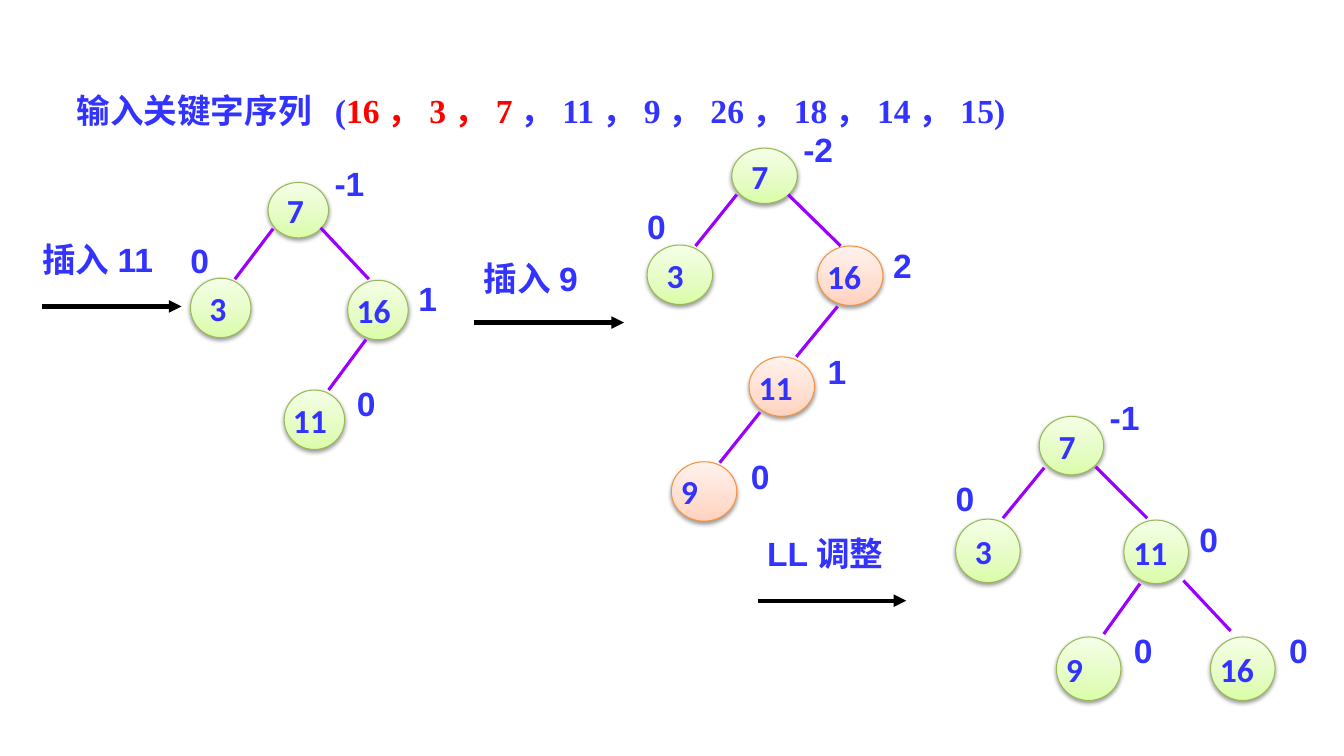
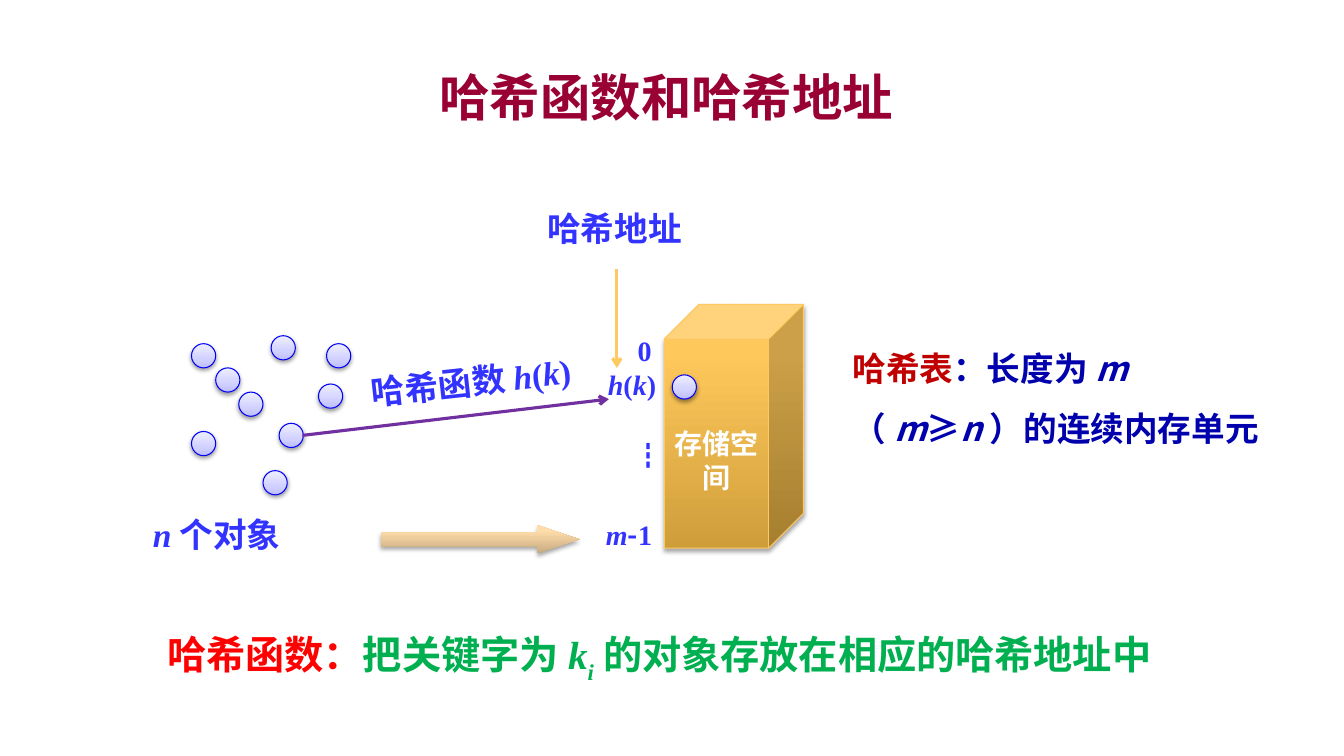
from lxml import etree
from pptx import Presentation, util as u
from pptx.dml.color import RGBColor
from pptx.enum import shapes, text
from pptx.oxml.ns import qn

Pt = u.Pt
SERIF, SANS, CJK, NODE_FONT = "Times New Roman", "Arial", "Noto Sans CJK SC", "Calibri"
BLUE, RED, GREEN, NAVY, WHITE = "3333FF", "FF0000", "00B050", "0000AD", "FFFFFF"
GOLD, PURPLE, EDGE, BLACK = "FDC960", "7030A0", "9900FF", "000000"

# Looks: gradient stops from the bottom up, outline, shadow opacity and distance
LOOKS = {
    "plain": ([(0, "DAFDA7"), (35, "E4FCC2"), (100, "F5FFE7")], "98B955", 38, 1.6),
    "unbalanced": ([(0, "FFD2BD"), (35, "FFDED0"), (100, "FFF2ED")], "F69240", 38, 1.6),
    "object": ([(0, "BDBDFF"), (35, "D1D1FF"), (100, "EEEEFF")], "0000F9", 38, 1.6),
    "storage": ([(0, "CF9E3B"), (80, "FFC85B"), (100, "FFC95D")], GOLD, 35, 1.8),
    "transfer": ([(0, "C6AA81"), (80, "FFDCAA"), (100, "FFDDAC")], None, 35, 1.8),
}

# Slide 1: key sequence and the tree after each step
SEQUENCE = [("输入关键字序列  (", BLUE), ("16，3，7", RED), ("，11，9，26，18，14，15)", BLUE)]
# node: key, look, left, top, balance factor, its left and top, edge from the parent
STEPS = [
    dict(label="插入11", label_at=(30.2, 170.6), arrow=(30.2, 129.6, 218.9),
         width=43.2, root_height=39.6, height=42.5, nodes=[
             ("7", "plain", 191.5, 130.3, "-1", 239, 116.6, None),
             ("3", "plain", 136.1, 198.7, "0", 136.1, 171.4, (195.1, 163.4, 167.8, 199.4)),
             ("16", "plain", 248.4, 200.2, "1", 298.8, 198.7, (229, 162.7, 263.5, 199.4)),
             ("11", "plain", 203, 278.6, "0", 254.9, 273.6, (261.4, 242.6, 234.7, 278.6))]),
    dict(label="插入9", label_at=(345.6, 184.3), arrow=(338.4, 445.7, 230.4),
         width=46.8, root_height=39.6, height=42.5, nodes=[
             ("7", "plain", 522.7, 105.8, "-2", 573.8, 92.2, None),
             ("3", "plain", 462.2, 175, "0", 462.2, 146.9, (526.3, 139, 496.8, 175.7)),
             ("16", "unbalanced", 583.9, 175.7, "2", 637.9, 175, (563, 139, 600.5, 175.7)),
             ("11", "unbalanced", 535, 254.9, "1", 591.1, 250.6, (598.3, 218.9, 568.8, 254.9)),
             ("9", "unbalanced", 479.5, 329.8, "0", 536.4, 325.4, (542.9, 294.5, 514.1, 330.5))]),
    dict(label="LL调整", label_at=(547.9, 380.9), arrow=(541.4, 647.3, 429.1),
         width=46.1, root_height=41.8, height=45.4, nodes=[
             ("7", "plain", 742.3, 297.4, "-1", 792.7, 283.7, None),
             ("3", "plain", 682.6, 370.8, "0", 682.6, 341.3, (745.9, 334.1, 716.4, 370.1)),
             ("11", "plain", 802.8, 371.5, "0", 856.8, 370.8, (782.6, 333.4, 819.4, 370.1)),
             ("9", "plain", 754.6, 455, "0", 810, 450, (814.3, 416.9, 788.4, 452.9)),
             ("16", "plain", 864.7, 455, "0", 920.9, 450, (845.3, 414.7, 879.1, 450.7))]),
]
INDENTED_KEYS = {"7", "3"}

# Slide 2: runs are text, colour, style (i italic, s subscript), font
TITLE = [("哈希函数和哈希地址 ", "990033")]
SUMMARY = [("哈希函数：", RED), ("把关键字为", GREEN), ("k", GREEN, "i"), ("i", GREEN, "is"),
           ("的对象存放在相应的哈希地址中", GREEN)]
H_OF_K = [("h", BLUE, "i"), ("(", BLUE), ("k", BLUE, "i"), (")", BLUE)]
TABLE_NOTE = [("哈希表", "C00000"), ("：长度为", NAVY), ("m", NAVY, "i"), ("（", NAVY),
              ("m", NAVY, "i"), ("≥", NAVY), ("n", NAVY, "i"), ("）的连续内存单元", NAVY)]
OBJECT_COUNT = [("n", BLUE, "i"), ("个对象", BLUE)]
ADDRESSES = [  # runs and box of each address beside the storage
    ([("0", BLUE)], (446.4, 234.7, 28.1, 31.7)),
    (H_OF_K, (420.5, 259.2, 61.9, 31.7)),
    ([("┇", BLUE, "", CJK)], (446.4, 309.6, 28.1, 31.7)),
    ([("m", BLUE, "i"), ("-", BLUE, "", CJK), ("1", BLUE)], (424.1, 365.8, 50.4, 31.7)),
]
OBJECTS = [(136.8, 245.5), (154.1, 262.8), (170.6, 280.1), (193.7, 239.8), (136.8, 308.2),
           (199.4, 302.4), (227.5, 274.3), (187.9, 336.2), (233.3, 245.5),
           (480.2, 267.8)]  # the last one is stored
OBJECT_SIZE = 17.3


def rgb(hex_colour):
    return RGBColor.from_string(hex_colour)


def write(frame, runs, size, font, align="LEFT", spacing=None, inset=(7.2, 3.6), anchor="TOP"):
    frame.word_wrap = True
    frame.vertical_anchor = getattr(text.MSO_ANCHOR, anchor)
    frame.margin_left = frame.margin_right = Pt(inset[0])
    frame.margin_top = frame.margin_bottom = Pt(inset[1])
    paragraph = frame.paragraphs[0]
    paragraph.alignment = getattr(text.PP_ALIGN, align)
    if spacing:
        paragraph.line_spacing = spacing
    for words, colour, *extra in runs:
        style = extra[0] if extra else ""
        run = paragraph.add_run()
        run.text = words
        run.font.size = Pt(size)
        run.font.bold = True
        run.font.italic = "i" in style
        run.font.color.rgb = rgb(colour)
        run.font.name = extra[1] if len(extra) > 1 else font
        properties = run._r.get_or_add_rPr()
        etree.SubElement(properties, qn("a:ea"), typeface=CJK)
        if "s" in style:
            properties.set("baseline", "-30000")


def add_text(slide, box, runs, size=24, font=SERIF, **layout):
    label = slide.shapes.add_textbox(*map(Pt, box))
    write(label.text_frame, runs, size, font, **layout)
    return label


def add_solid(slide, kind, box, look):
    stops, outline, opacity, distance = LOOKS[look]
    solid = slide.shapes.add_shape(getattr(shapes.MSO_SHAPE, kind), *map(Pt, box))
    solid.fill.gradient()
    solid.fill.gradient_angle = 90
    stop_list = solid._element.spPr.find(".//" + qn("a:gsLst"))
    for stop in list(stop_list):
        stop_list.remove(stop)
    for position, colour in stops:
        stop = etree.SubElement(stop_list, qn("a:gs"), pos=str(position * 1000))
        etree.SubElement(stop, qn("a:srgbClr"), val=colour)
    if outline:
        solid.line.color.rgb = rgb(outline)
        solid.line.width = Pt(0.75)
    else:
        solid.line.fill.background()
    # Soft shadow straight below
    solid.shadow.inherit = False
    effects = solid._element.spPr.find(qn("a:effectLst"))
    shadow = etree.SubElement(effects, qn("a:outerShdw"), blurRad=str(Pt(3.1)),
                              dist=str(Pt(distance)), dir="5400000", rotWithShape="0")
    shade = etree.SubElement(shadow, qn("a:srgbClr"), val=BLACK)
    etree.SubElement(shade, qn("a:alpha"), val=str(opacity * 1000))
    return solid


def add_line(slide, ends, colour, width=2.25, head=None):
    line = slide.shapes.add_connector(shapes.MSO_CONNECTOR.STRAIGHT, *map(Pt, ends))
    line.line.color.rgb = rgb(colour)
    line.line.width = Pt(width)
    if head:
        etree.SubElement(line.line._get_or_add_ln(), qn("a:tailEnd"), type=head)
    etree.SubElement(line._element.spPr, qn("a:effectLst"))


def add_step(slide, step):
    start, end, y = step["arrow"]
    add_line(slide, (start, y, end, y), BLACK, 3, "triangle")
    add_text(slide, (*step["label_at"], 95, 28.8), [(step["label"], BLUE)],
             font=SANS, inset=(0, 0))
    for key, look, left, top, balance, balance_left, balance_top, edge in step["nodes"]:
        height = step["height"] if edge else step["root_height"]
        node = add_solid(slide, "OVAL", (left, top, step["width"], height), look)
        inset = (7.2, 3.6) if key in INDENTED_KEYS else (0, 0)
        write(node.text_frame, [(key, BLUE)], 24, NODE_FONT, inset=inset, anchor="MIDDLE")
        add_text(slide, (balance_left, balance_top, 28, 28.8), [(balance, BLUE)],
                 font=SANS, inset=(0, 0))
        if edge:
            add_line(slide, edge, EDGE)


def build_tree_slide(slide):
    add_text(slide, (47.5, 46.1, 894.2, 45.4), SEQUENCE, spacing=1.5)
    for step in STEPS:
        add_step(slide, step)


def build_hash_slide(slide):
    add_text(slide, (72, 41.8, 816, 54), TITLE, 36, CJK, align="CENTER", anchor="MIDDLE")
    add_text(slide, (112.3, 446.4, 752.4, 41), SUMMARY, 28)

    # Objects on the left, storage on the right
    transfer = add_solid(slide, "RIGHT_ARROW", (272.2, 375.1, 141.8, 20.2), "transfer")
    transfer.adjustments[1] = 1.5
    storage = add_solid(slide, "CUBE", (474.5, 217.4, 99.4, 174.2), "storage")
    write(storage.text_frame, [("存储空间", WHITE)], 20, CJK, align="CENTER", anchor="MIDDLE")
    storage.text_frame.margin_top = Pt(27.6)
    for left, top in OBJECTS:
        add_solid(slide, "OVAL", (left, top, OBJECT_SIZE, OBJECT_SIZE), "object")

    # Labels
    mapping = add_text(slide, (257.8, 254.2, 162.7, 36), [("哈希函数", BLUE), *H_OF_K])
    mapping.rotation = 353.7
    add_text(slide, (102.2, 363.6, 130.3, 36), OBJECT_COUNT)
    add_text(slide, (601.9, 230.4, 325.4, 89.3), TABLE_NOTE, font=CJK, spacing=1.5)
    add_text(slide, (383.8, 144.7, 149.8, 36), [("哈希地址", BLUE)])
    for runs, box in ADDRESSES:
        add_text(slide, box, runs, 20, align="CENTER")

    # Pointers to the address
    add_line(slide, (440.6, 192.2, 440.6, 262.8), GOLD, head="arrow")
    add_line(slide, (216, 311, 434.9, 285.1), PURPLE, head="arrow")


def main():
    deck = Presentation()
    deck.slide_width, deck.slide_height = Pt(960), Pt(540)
    for build in (build_tree_slide, build_hash_slide):
        build(deck.slides.add_slide(deck.slide_layouts[6]))
    deck.save("out.pptx")


if __name__ == "__main__":
    main()
